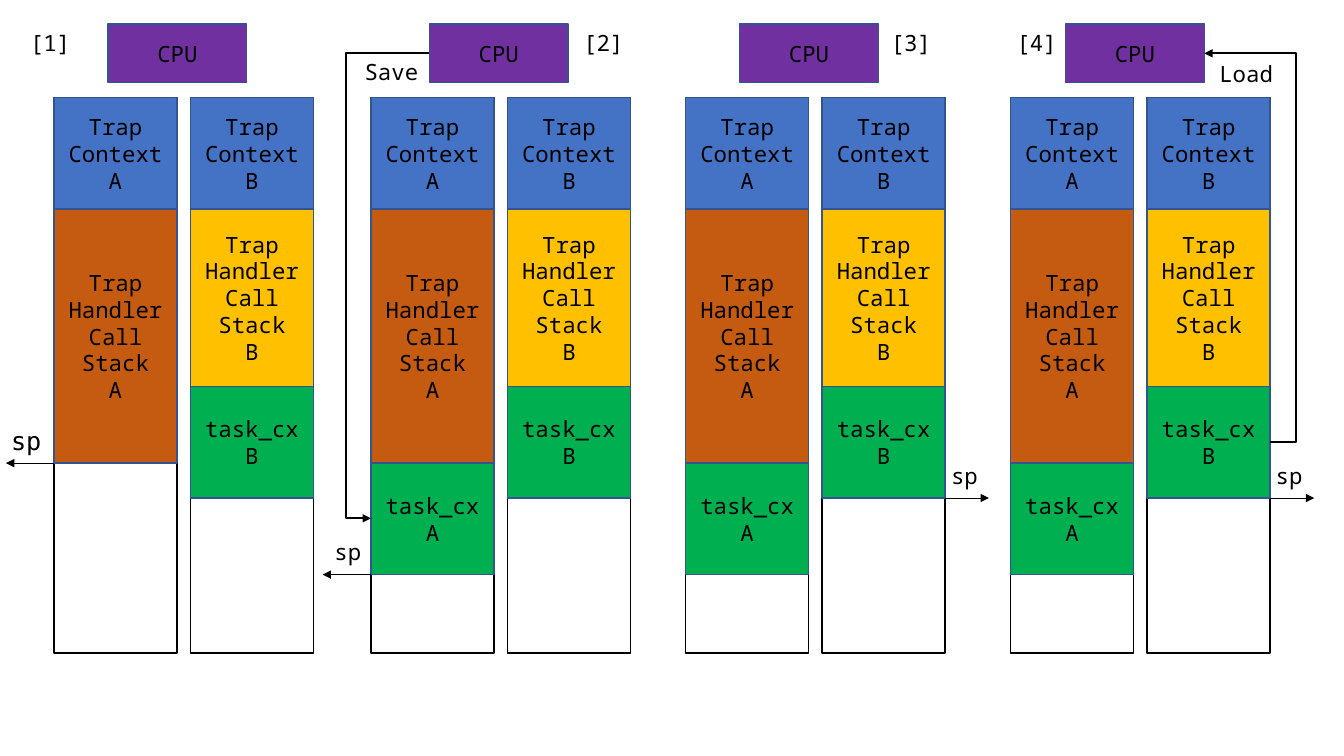
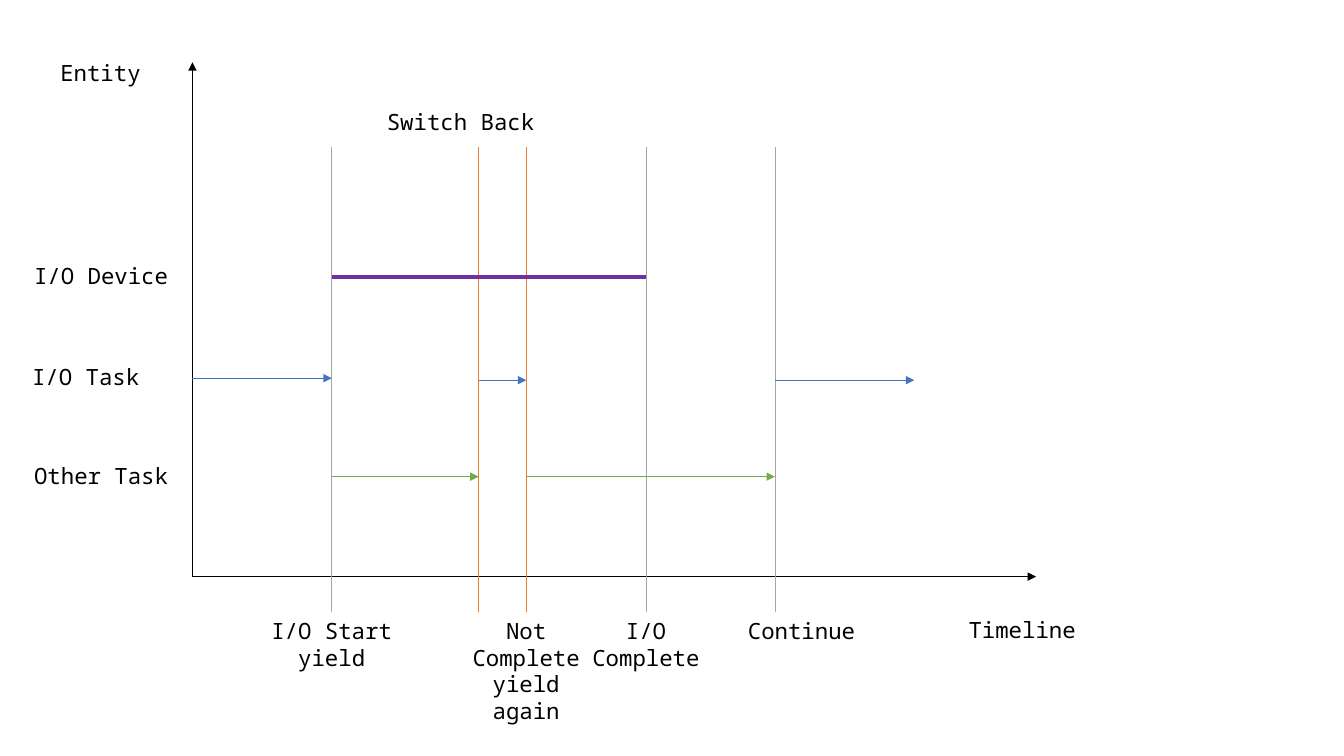
"""Build two slides: kernel stacks during a task switch, and an I/O timeline."""
from lxml import etree
from pptx import Presentation
from pptx.dml.color import RGBColor
from pptx.enum.shapes import MSO_CONNECTOR, MSO_SHAPE
from pptx.enum.text import PP_ALIGN
from pptx.oxml.ns import qn
from pptx.util import Cm, Pt

RECTANGLE = MSO_SHAPE.RECTANGLE
STRAIGHT, ELBOW = MSO_CONNECTOR.STRAIGHT, MSO_CONNECTOR.ELBOW
LEFT, CENTER = PP_ALIGN.LEFT, PP_ALIGN.CENTER
FONT = "Noto Sans Mono"
COLORS = {
    "black": "000000", "white": "FFFFFF", "navy": "325491", "blue": "4472C4",
    "brown": "C55A11", "amber": "FFC000", "emerald": "00B050",
    "purple": "7030A0", "orange": "ED7D31", "gray": "A5A5A5", "green": "70AD47",
}
RGB = {name: RGBColor.from_string(value) for name, value in COLORS.items()}


def add_box(page, text, left, top, width, height, fill=None, outline="navy",
            align=CENTER, font=FONT, size=16):
    """Add a filled rectangle, or a plain text box when no fill is given."""
    place = Cm(left), Cm(top), Cm(width), Cm(height)
    if fill:
        box = page.shapes.add_shape(RECTANGLE, *place)
        box.shadow.inherit = False
        box.fill.solid()
        box.fill.fore_color.rgb = RGB[fill]
        box.line.color.rgb = RGB[outline]
        box.line.width = Pt(1)
    else:
        box = page.shapes.add_textbox(*place)
    box.text_frame.word_wrap = True
    box.text_frame.text = text
    for para in box.text_frame.paragraphs:
        para.alignment = align
        para.font.name = font
        para.font.size = Pt(size)
        para.font.color.rgb = RGB["black"]


def add_line(page, start, end, color="black", width=0.5, arrow=True, bend=None):
    """Add a straight line, or an elbow whose middle part lies at x = bend."""
    kind = STRAIGHT if bend is None else ELBOW
    line = page.shapes.add_connector(kind, *map(Cm, start + end))
    line.line.color.rgb = RGB[color]
    line.line.width = Pt(width)
    if arrow:
        etree.SubElement(line.line._ln, qn("a:tailEnd"), type="triangle")
    etree.SubElement(line._element.spPr, qn("a:effectLst"))
    if bend is not None:
        share = round((bend - start[0]) / (end[0] - start[0]) * 100000)
        adjustments = line._element.xpath(".//a:avLst")[0]
        etree.SubElement(adjustments, qn("a:gd"), name="adj1", fmla=f"val {share}")


deck = Presentation()
deck.slide_width, deck.slide_height = Cm(33.87), Cm(19.05)
blank = deck.slide_layouts[6]

page = deck.slides.add_slide(blank)
STACK_TOP, STACK_WIDTH, STACK_HEIGHT, STACK_STEP = 2.46, 3.1, 14, 3.44
CPU_TOP, CPU_WIDTH, CPU_HEIGHT = 0.61, 3.5, 1.47
FRAME_HEIGHT = 2.81
handlers = {"A": ("brown", 6.4), "B": ("amber", 4.47)}

steps = [
    ("[1]", 0.51, 1.36, 2.72, "B"),
    ("[2]", 14.45, 9.35, 10.82, "AB"),
    ("[3]", 22.2, 17.28, 18.64, "AB"),
    ("[4]", 25.37, 25.47, 26.85, "AB"),
]
for number, number_left, stack_left, cpu_left, saved_tasks in steps:
    add_box(page, number, number_left, 0.61, 1.78, 0.94, align=LEFT)
    add_box(page, "CPU", cpu_left, CPU_TOP, CPU_WIDTH, CPU_HEIGHT, "purple")
    for column, (task, (color, handler_height)) in enumerate(handlers.items()):
        left, top = stack_left + column * STACK_STEP, STACK_TOP
        add_box(page, "", left, top, STACK_WIDTH, STACK_HEIGHT, "white", "black")
        frames = [
            (f"Trap\nContext\n{task}", FRAME_HEIGHT, "blue"),
            (f"Trap\nHandler\nCall\nStack\n{task}", handler_height, color),
        ]
        if task in saved_tasks:
            frames.append((f"task_cx\n{task}", FRAME_HEIGHT, "emerald"))
        for text, height, fill in frames:
            add_box(page, text, left, top, STACK_WIDTH, height, fill)
            top += height

pointers = [
    (1.36, 0.15, 11.67, 0.03, 10.59, "DejaVu Sans Mono", 18),
    (9.35, 8.13, 14.48, 8.18, 13.44, FONT, 16),
    (23.82, 24.92, 12.55, 23.72, 11.51, FONT, 16),
    (32.01, 33.12, 12.55, 31.9, 11.51, FONT, 16),
]
for start, end, level, left, top, font, size in pointers:
    add_line(page, (start, level), (end, level))
    add_box(page, "sp", left, top, 1.32, 0.94, align=LEFT, font=font, size=size)

cpu_middle = CPU_TOP + CPU_HEIGHT / 2
add_line(page, (10.82, cpu_middle), (9.35, 13.06), width=1.5, bend=8.71)
add_line(page, (32.01, 11.14), (30.35, cpu_middle), width=1.5, bend=32.66)
add_box(page, "Save", 8.94, 1.35, 1.98, 0.94, align=LEFT)
add_box(page, "Load", 30.48, 1.4, 1.98, 0.94, align=LEFT)

page = deck.slides.add_slide(blank)
ORIGIN = (4.85, 14.53)
START, BACK, AGAIN, COMPLETE, CONTINUE, END = 8.36, 12.06, 13.26, 16.28, 19.53, 23.04
DEVICE_LEVEL, TASK_LEVEL, OTHER_LEVEL = 6.98, 9.58, 12.01
LABEL_WIDTH = 3.91

add_line(page, ORIGIN, (26.11, ORIGIN[1]))
add_line(page, ORIGIN, (ORIGIN[0], 1.57))

events = [(START, "gray"), (BACK, "orange"), (AGAIN, "orange"),
          (COMPLETE, "gray"), (CONTINUE, "gray")]
for moment, color in events:
    add_line(page, (moment, 3.71), (moment, 15.42), color, arrow=False)

add_line(page, (START, DEVICE_LEVEL), (COMPLETE, DEVICE_LEVEL), "purple", 2.25, False)
activities = [
    (ORIGIN[0], START, 9.53, "blue"),
    (BACK, AGAIN, TASK_LEVEL, "blue"),
    (CONTINUE, END, TASK_LEVEL, "blue"),
    (START, BACK, OTHER_LEVEL, "green"),
    (AGAIN, CONTINUE, OTHER_LEVEL, "green"),
]
for start, end, level, color in activities:
    add_line(page, (start, level), (end, level), color)

event_labels = [
    ("I/O Start\nyield", START, 1.63),
    ("Not Complete\nyield\nagain", AGAIN, 3),
    ("I/O\nComplete", COMPLETE, 1.63),
    ("Continue", 20.2, 0.94),
]
for text, middle, height in event_labels:
    add_box(page, text, middle - LABEL_WIDTH / 2, 15.42, LABEL_WIDTH, height)

side_labels = [
    ("Entity", 1.27, 1.37, 4.04),
    ("I/O Device", 0.61, 6.48, 4.06),
    ("I/O Task", 0.56, 9.02, 4.06),
    ("Other Task", 0.61, 11.51, 4.06),
    ("Switch Back", 9.5, 2.59, 5.61),
    ("Timeline", 24.16, 15.39, LABEL_WIDTH),
]
for text, left, top, width in side_labels:
    add_box(page, text, left, top, width, 0.94, align=LEFT)

deck.save("out.pptx")
